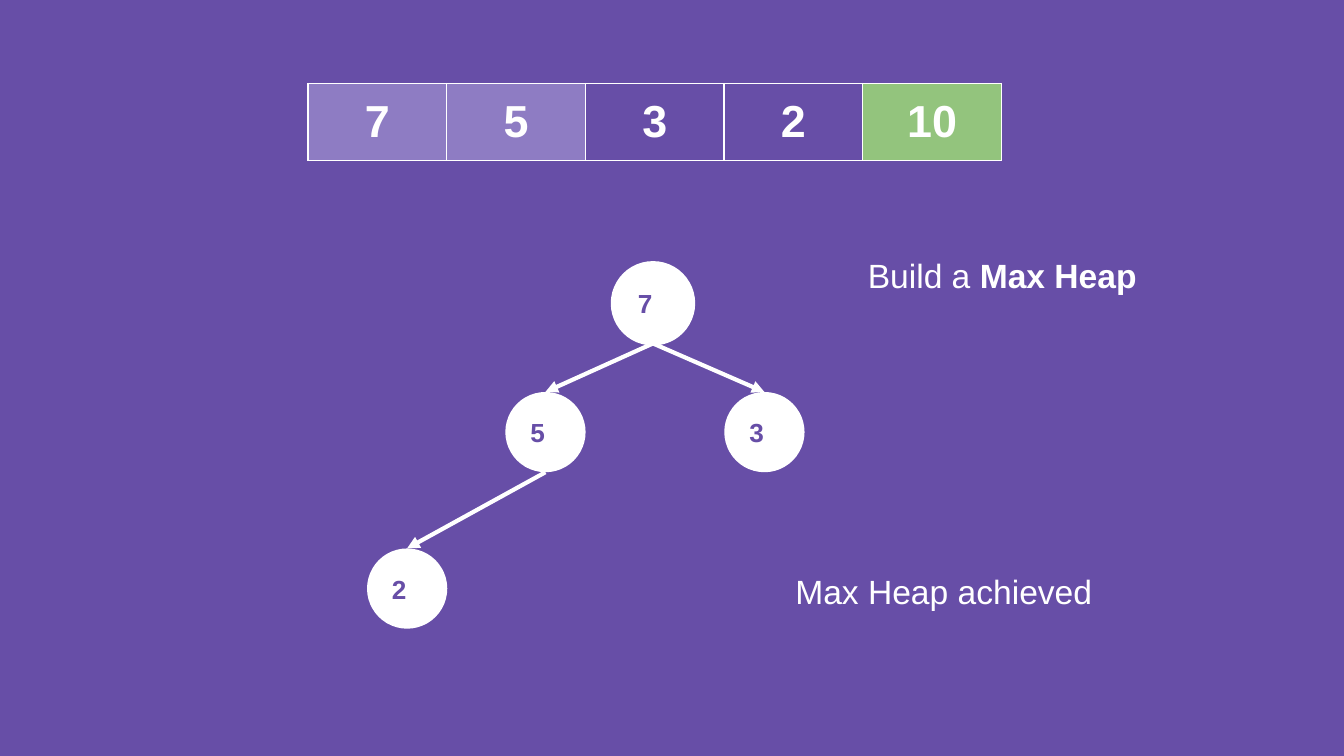
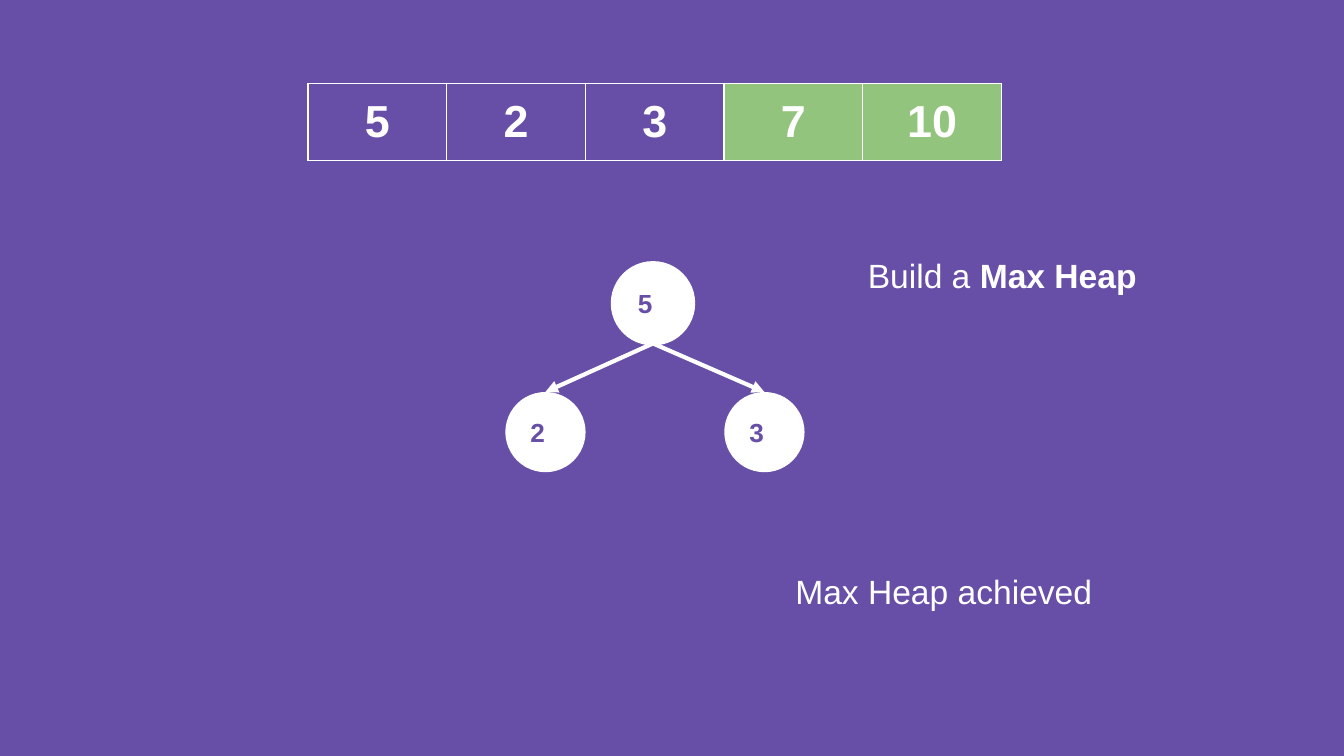
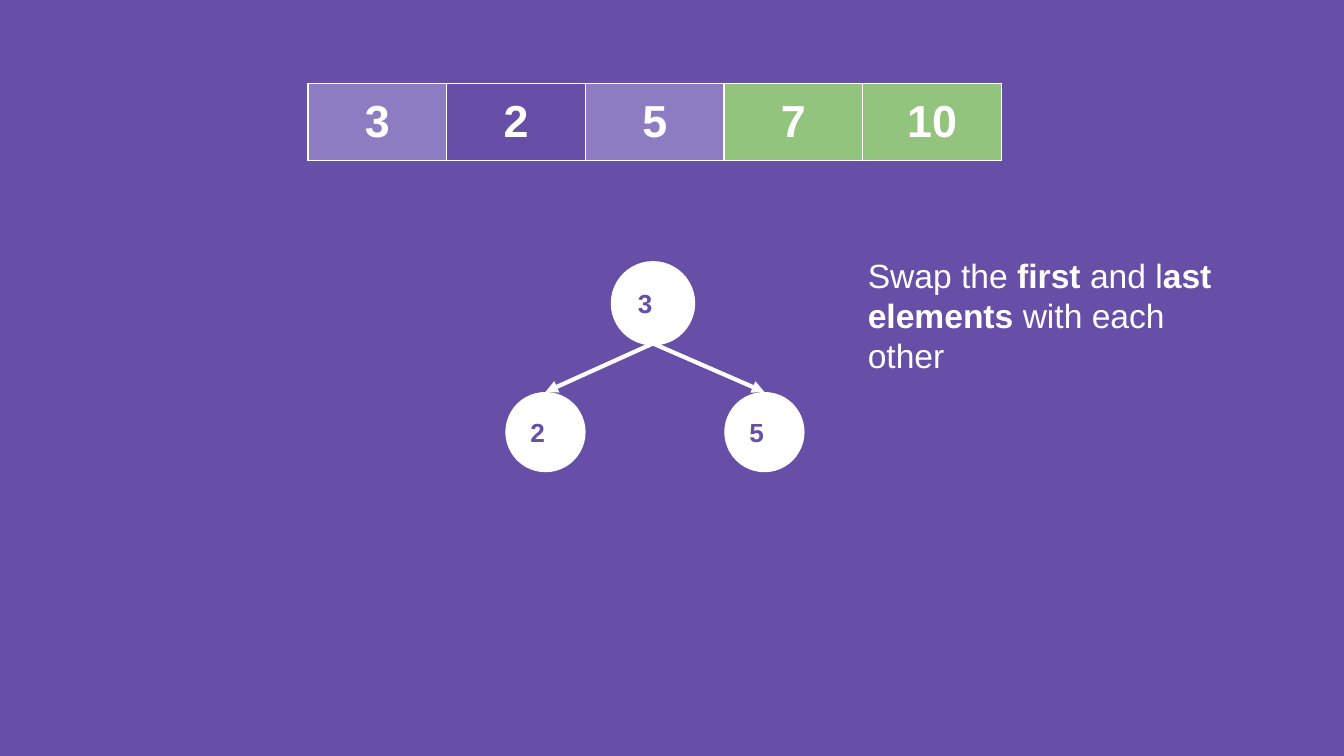
import pptx
import pptx.dml.color
import pptx.enum.shapes
import pptx.enum.text
import pptx.oxml
import pptx.oxml.ns
import pptx.util

Pt = pptx.util.Pt
PURPLE, LILAC, GREEN, WHITE = "674EA7", "8E7CC3", "93C47D", "FFFFFF"
FONT = "Arial"
INSET = 7.2
NODE_SIZE = 43
ARRAY_LEFT, ARRAY_TOP, CELL_WIDTH, ROW_HEIGHT = 165, 44.7, 74.3, 34
HINT_AT, RESULT_AT = (457.8, 129.3), (419, 298.8)

# Top left corners of the heap nodes, in array order; the children of i are 2i + 1 and 2i + 2.
NODE_AT = [(328.3, 141), (270.7, 210), (388, 210), (196.6, 293.8)]

BUILD_HINT = [("Build a ", False), ("Max Heap", True)]
SWAP_HINT = [("Swap the", False), (" first", True), (" and l", False),
             ("ast elements ", True), ("with each other", False)]
ACHIEVED = [("Max Heap achieved", False)]

# Array values, cell colours, heap size, hint, hint width, result
STEPS = [
    ([7, 5, 3, 2, 10], [LILAC, LILAC, PURPLE, PURPLE, GREEN], 4, BUILD_HINT, 275, ACHIEVED),
    ([5, 2, 3, 7, 10], [PURPLE, PURPLE, PURPLE, GREEN, GREEN], 3, BUILD_HINT, 275, ACHIEVED),
    ([3, 2, 5, 7, 10], [LILAC, PURPLE, LILAC, GREEN, GREEN], 3, SWAP_HINT, 202.3, None),
]


def paint(colour_format, colour):
    colour_format.rgb = pptx.dml.color.RGBColor.from_string(colour)


def fill_solid(fill, colour):
    fill.solid()
    paint(fill.fore_color, colour)


def format_run(r, size, colour, bold):
    r.font.name = FONT
    r.font.size = Pt(size)
    r.font.bold = bold
    paint(r.font.color, colour)


def set_insets(holder):
    """Give a cell or a text frame the same margin on all sides."""
    holder.margin_left = holder.margin_right = Pt(INSET)
    holder.margin_top = holder.margin_bottom = Pt(INSET)


def add_borders(cell):
    tc_pr = cell._tc.get_or_add_tcPr()
    for side in ("lnL", "lnR", "lnT", "lnB"):
        tc_pr.append(pptx.oxml.parse_xml(
            f'<a:{side} {pptx.oxml.ns.nsdecls("a")} w="{Pt(0.75)}"><a:solidFill>'
            f'<a:srgbClr val="{WHITE}"/></a:solidFill></a:{side}>'))


def add_array(slide, values, colours):
    count = len(values)
    table = slide.shapes.add_table(1, count, Pt(ARRAY_LEFT), Pt(ARRAY_TOP),
                                   Pt(CELL_WIDTH * count), Pt(ROW_HEIGHT)).table
    table.first_row = table.horz_banding = False
    for column, cell, value, colour in zip(table.columns, table.iter_cells(), values, colours):
        column.width = Pt(CELL_WIDTH)
        set_insets(cell)
        add_borders(cell)
        fill_solid(cell.fill, colour)
        p = cell.text_frame.paragraphs[0]
        p.text = str(value)
        p.alignment = pptx.enum.text.PP_ALIGN.CENTER
        format_run(p.runs[0], 24, WHITE, True)


def add_node(slide, value, left, top, is_root):
    sp = slide.shapes.add_shape(pptx.enum.shapes.MSO_SHAPE.OVAL, Pt(left), Pt(top),
                                Pt(NODE_SIZE), Pt(NODE_SIZE))
    sp.shadow.inherit = False
    fill_solid(sp.fill, WHITE)
    if is_root:
        paint(sp.line.color, WHITE)
        sp.line.width = Pt(2.25)
    else:
        sp.line.fill.background()
    tf = sp.text_frame
    set_insets(tf)
    tf.vertical_anchor = pptx.enum.text.MSO_ANCHOR.MIDDLE
    p = tf.paragraphs[0]
    p.text = str(value)
    p.alignment = pptx.enum.text.PP_ALIGN.LEFT
    format_run(p.runs[0], 14, PURPLE, True)


def add_edge(slide, parent, child):
    """Draw an arrow from the bottom of the parent node to the top of the child."""
    (x1, y1), (x2, y2) = NODE_AT[parent], NODE_AT[child]
    half = NODE_SIZE / 2
    line = slide.shapes.add_connector(pptx.enum.shapes.MSO_CONNECTOR.STRAIGHT,
                                      Pt(x1 + half), Pt(y1 + NODE_SIZE), Pt(x2 + half), Pt(y2))
    paint(line.line.color, WHITE)
    line.line.width = Pt(2.25)
    ns = pptx.oxml.ns.nsdecls("a")
    line.line._get_or_add_ln().append(pptx.oxml.parse_xml(f'<a:tailEnd {ns} type="triangle"/>'))
    line._element.spPr.append(pptx.oxml.parse_xml(f"<a:effectLst {ns}/>"))


def add_heap(slide, values):
    for i, value in enumerate(values):
        add_node(slide, value, *NODE_AT[i], is_root=i == 0)
    for child in range(1, len(values)):
        add_edge(slide, (child - 1) // 2, child)


def add_text(slide, parts, at, width):
    left, top = at
    tf = slide.shapes.add_textbox(Pt(left), Pt(top), Pt(width), Pt(67)).text_frame
    tf.word_wrap = True
    set_insets(tf)
    p = tf.paragraphs[0]
    for text, bold in parts:
        r = p.add_run()
        r.text = text
        format_run(r, 18, WHITE, bold)


def main():
    prs = pptx.Presentation()
    prs.slide_width, prs.slide_height = Pt(720), Pt(405)
    fill_solid(prs.slide_master.background.fill, PURPLE)
    blank = prs.slide_layouts[6]
    for values, colours, heap_size, hint, hint_width, result in STEPS:
        slide = prs.slides.add_slide(blank)
        add_array(slide, values, colours)
        add_heap(slide, values[:heap_size])
        add_text(slide, hint, HINT_AT, hint_width)
        if result:
            add_text(slide, result, RESULT_AT, 275)
    prs.save("out.pptx")


if __name__ == "__main__":
    main()
